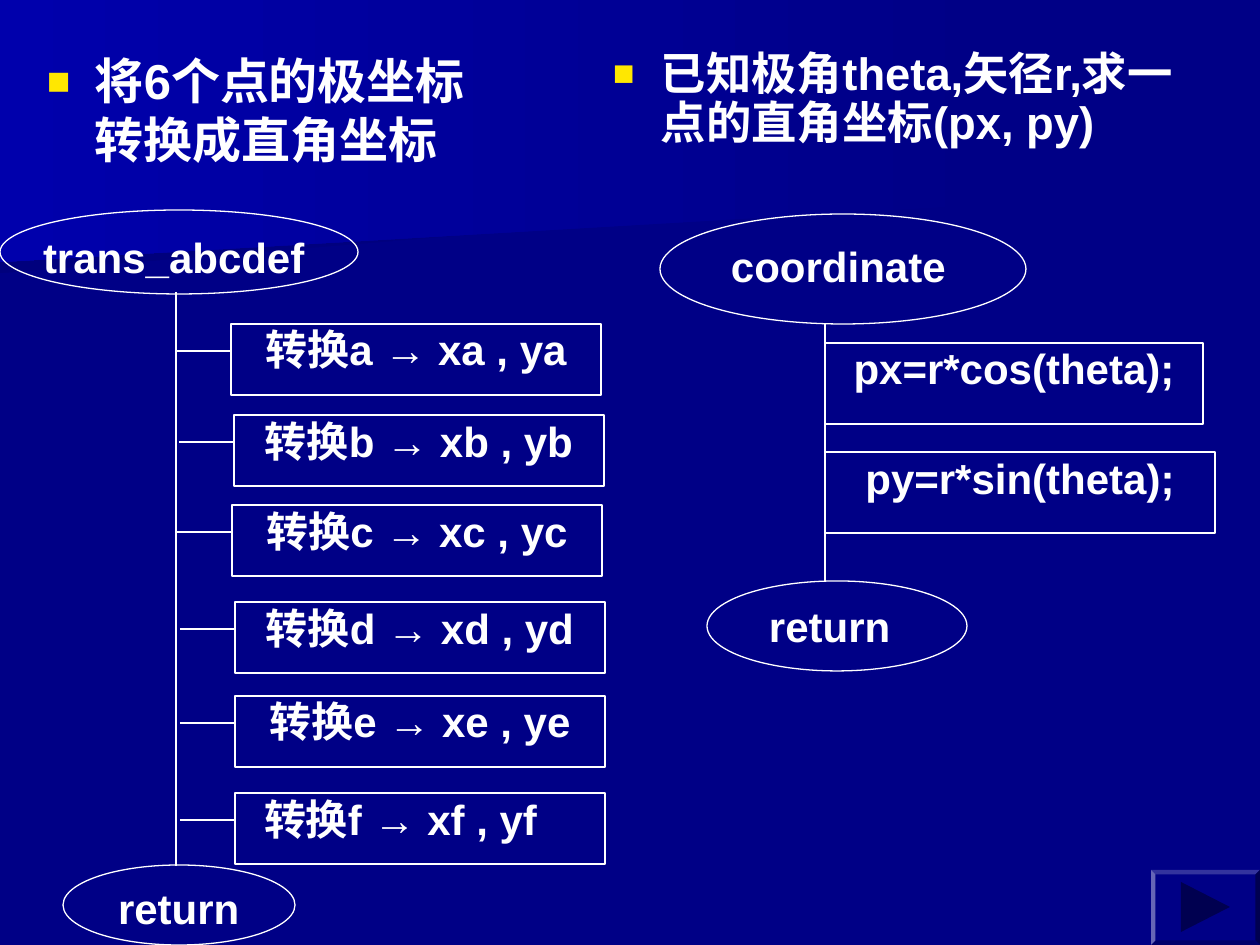
from lxml.etree import SubElement
from pptx import Presentation
from pptx.dml.color import RGBColor
from pptx.enum.shapes import MSO_CONNECTOR, MSO_SHAPE
from pptx.enum.text import MSO_ANCHOR, PP_ALIGN
from pptx.oxml.ns import qn
from pptx.util import Pt

PX = 914400 / 126
FONT, WHITE, NAVY, YELLOW = "Arial", "FFFFFF", "000086", "FFE701"
SWEEPS = [
    ([(981, 193), (0, 273), (0, 127), (982, 127)], "00007D"),
    ([(998, 204), (0, 262), (0, 0), (998, 0)], "0000AC"),
]
HEADINGS = [
    ("将6个点的极坐标\v转换成直角坐标", (34, 45, 576, 139), 28, 1),
    ("已知极角theta,矢径r,求一点的直角坐标(px, py)", (600, 45, 605, 139), 25.9, 0.9),
]
ELLIPSES = [(0, 210, 358, 84), (63, 865, 232, 80), (660, 214, 366, 110), (707, 581, 260, 90)]
LABELS = [
    ("trans_abcdef", (43, 241, 273, 44), 0.8),
    ("return", (118, 883, 144, 39), 1),
    ("coordinate", (731, 244, 248, 59), 0.96),
    ("return", (769, 601, 161, 44), 1),
]
TRUNKS = [(176, 292, 176, 866), (825, 324, 825, 581)]
POINTS = [("a", 231, 324), ("b", 234, 415), ("c", 232, 505),
          ("d", 235, 602), ("e", 235, 696), ("f", 235, 793)]
STEP_SIZE, STUB_LENGTH, STUB_DROP, LAST_INDENT = (370, 71), 55, 27, 29
FORMULAS = [("px=r*cos(theta);", (825, 343, 378, 81)),
            ("py=r*sin(theta);", (825, 452, 390, 81))]
BUTTON, ARROW = (1151, 870, 109, 75), [(1181, 882), (1230, 907), (1181, 932)]


def px(*values):
    return [round(value * PX) for value in values]


def rgb(color):
    return RGBColor.from_string(color)


def write(shape, text, size=24, spacing=1, align=PP_ALIGN.LEFT, inset=(0, 0)):
    frame = shape.text_frame
    frame.word_wrap = True
    frame.vertical_anchor = MSO_ANCHOR.TOP
    frame.margin_left, frame.margin_top = px(*inset)
    frame.margin_right, frame.margin_bottom = px(*inset)
    frame.text = text
    para = frame.paragraphs[0]
    para.alignment, para.line_spacing = align, spacing
    for span in para.runs:
        span.font.name, span.font.size, span.font.bold = FONT, Pt(size), True
        span.font.color.rgb = rgb(WHITE)
        SubElement(span.font._element, qn("a:ea"), typeface=FONT)
    return para


def add_bullet(para, indent):
    properties = para._p.get_or_add_pPr()
    properties.set("marL", str(indent))
    properties.set("indent", str(-indent))
    color = SubElement(properties, qn("a:buClr"))
    SubElement(color, qn("a:srgbClr"), val=YELLOW)
    SubElement(properties, qn("a:buSzPct"), val="80000")
    SubElement(properties, qn("a:buFont"), typeface=FONT)
    SubElement(properties, qn("a:buChar"), char="■")


def add_outline(page, kind, place):
    shape = page.shapes.add_shape(kind, *px(*place))
    shape.shadow.inherit = False
    shape.fill.background()
    shape.line.color.rgb, shape.line.width = rgb(WHITE), Pt(0.75)
    return shape


def add_line(page, ends):
    line = page.shapes.add_connector(MSO_CONNECTOR.STRAIGHT, *px(*ends))
    line.line.color.rgb, line.line.width = rgb(WHITE), Pt(0.75)
    SubElement(line._element.spPr, qn("a:effectLst"))


def add_polygon(page, points):
    builder = page.shapes.build_freeform(*points[0], scale=PX)
    builder.add_line_segments(points[1:], close=True)
    shape = builder.convert_to_shape()
    shape.shadow.inherit = False
    shape.line.fill.background()
    return shape


def add_background(page):
    page.background.fill.solid()
    page.background.fill.fore_color.rgb = rgb(NAVY)
    for points, left_color in SWEEPS:
        fill = add_polygon(page, points).fill
        fill.gradient()
        fill.gradient_angle = 180
        for stop, color, position in zip(fill.gradient_stops, (NAVY, left_color), (0, 1)):
            stop.color.rgb, stop.position = rgb(color), position


def add_button(page):
    button = add_outline(page, MSO_SHAPE.BEVEL, BUTTON)
    button.adjustments[0] = 0.06
    button.fill.solid()
    button.fill.fore_color.rgb = rgb(NAVY)
    button.line.fill.background()
    arrow = add_polygon(page, ARROW)
    arrow.fill.solid()
    arrow.fill.fore_color.rgb = rgb("000050")


def main():
    """Build the two flow charts for the polar coordinate conversion."""
    deck = Presentation()
    deck.slide_width, deck.slide_height = px(1260, 945)
    page = deck.slides.add_slide(deck.slide_layouts[6])
    add_background(page)
    for text, place, size, spacing in HEADINGS:
        box = page.shapes.add_textbox(*px(*place))
        add_bullet(write(box, text, size, spacing, inset=(13, 6)), px(48)[0])
    for place in ELLIPSES:
        add_outline(page, MSO_SHAPE.OVAL, place)
    for text, place, spacing in LABELS:
        write(page.shapes.add_textbox(*px(*place)), text, spacing=spacing)
    for ends in TRUNKS:
        add_line(page, ends)
    for name, left, top in POINTS:
        step = add_outline(page, MSO_SHAPE.RECTANGLE, (left, top, *STEP_SIZE))
        is_last = name == POINTS[-1][0]
        write(step, f"转换{name} → x{name} , y{name}",
              align=PP_ALIGN.LEFT if is_last else PP_ALIGN.CENTER,
              inset=(LAST_INDENT if is_last else 0, 0))
        add_line(page, (left - STUB_LENGTH, top + STUB_DROP, left, top + STUB_DROP))
    for text, place in FORMULAS:
        write(add_outline(page, MSO_SHAPE.RECTANGLE, place), text, align=PP_ALIGN.CENTER)
    add_button(page)
    deck.save("out.pptx")


if __name__ == "__main__":
    main()
